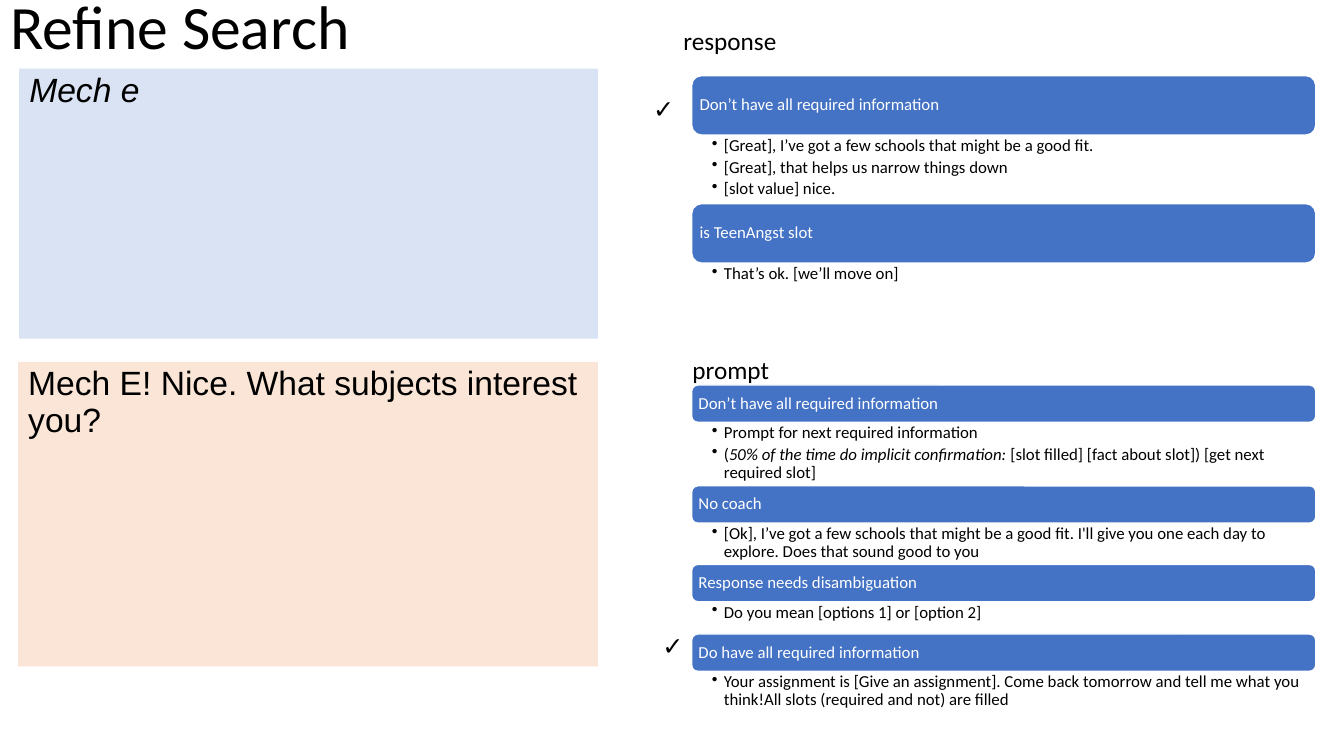
"""Build the Refine Search slide with its example dialogue and rule lists."""
from lxml.etree import SubElement
from pptx import Presentation
from pptx.dml.color import RGBColor
from pptx.enum.shapes import MSO_SHAPE
from pptx.enum.text import MSO_ANCHOR, MSO_AUTO_SIZE, PP_ALIGN
from pptx.oxml.ns import qn
from pptx.util import Emu, Pt

PX = 9144
BLUE = RGBColor(0x44, 0x72, 0xC4)
PALE_BLUE = RGBColor(0xDA, 0xE3, 0xF3)
PALE_ORANGE = RGBColor(0xFB, 0xE5, 0xD6)
WHITE = RGBColor(0xFF, 0xFF, 0xFF)
BLACK = RGBColor(0x00, 0x00, 0x00)

RULES_LEFT, RULES_WIDTH = 686, 619
RESPONSE_RULES = [
    ("Don’t have all required information", 68, [
        "[Great], I’ve got a few schools that might be a good fit.",
        "[Great], that helps us narrow things down",
        "[slot value] nice."]),
    ("is TeenAngst slot", 53, ["That’s ok. [we’ll move on]"]),
]
PROMPT_RULES = [
    ("Don’t have all required information", 63, [
        "Prompt for next required information",
        "(*50% of the time do implicit confirmation: *"
        "[slot filled] [fact about slot]) [get next required slot]"]),
    ("No coach", 41, [
        "[Ok], I’ve got a few schools that might be a good fit. "
        "I'll give you one each day to explore. Does that sound good to you"]),
    ("Response needs disambiguation", 32, ["Do you mean [options 1] or [option 2]"]),
    ("Do have all required information", 41, [
        "Your assignment is [Give an assignment]. Come back tomorrow and tell me "
        "what you think!All slots (required and not) are filled"]),
]


def box(left, top, width, height):
    """Turn a rectangle in px into EMU lengths."""
    return [Emu(length * PX) for length in (left, top, width, height)]


def place(placeholder, *rectangle):
    """Move a placeholder to a rectangle given in px."""
    (placeholder.left, placeholder.top,
     placeholder.width, placeholder.height) = box(*rectangle)


def set_margins(frame, left, top, right, bottom):
    """Set the insets of a text frame in px."""
    frame.margin_left, frame.margin_top = Emu(left * PX), Emu(top * PX)
    frame.margin_right, frame.margin_bottom = Emu(right * PX), Emu(bottom * PX)


def set_bullet(paragraph, bulleted):
    """Give a paragraph a hanging bullet, or clear any inherited one."""
    indent = 12 * PX if bulleted else 0
    properties = paragraph._p.get_or_add_pPr()
    properties.set("marL", str(indent))
    properties.set("indent", str(-indent))
    if bulleted:
        SubElement(properties, qn("a:buChar")).set("char", "•")
    else:
        SubElement(properties, qn("a:buNone"))


def write(frame, *lines, size=12, font="Calibri", color=BLACK, spacing=0.9,
          after=0, bulleted=False, anchor=MSO_ANCHOR.TOP, wrap=True):
    """Write one paragraph per line, with italics between asterisks."""
    frame.auto_size = MSO_AUTO_SIZE.NONE if wrap else MSO_AUTO_SIZE.SHAPE_TO_FIT_TEXT
    frame.word_wrap = wrap
    frame.vertical_anchor = anchor
    for number, line in enumerate(lines):
        paragraph = frame.add_paragraph() if number else frame.paragraphs[0]
        set_bullet(paragraph, bulleted)
        paragraph.level = int(bulleted)
        paragraph.alignment = PP_ALIGN.LEFT
        paragraph.line_spacing = spacing
        paragraph.space_before = Pt(0)
        paragraph.space_after = Pt(after)
        for position, part in enumerate(line.split("*")):
            if part:
                run = paragraph.add_run()
                run.text = part
                run.font.size = Pt(size)
                run.font.name = font
                run.font.color.rgb = color
                run.font.italic = position % 2 == 1


def add_label(slide, text, left, top, width, font="Calibri"):
    """Add a short unwrapped label."""
    label = slide.shapes.add_textbox(*box(left, top, width, 40))
    write(label.text_frame, text, size=18, font=font, spacing=1.0, wrap=False)


def add_rule_header(slide, text, top, height):
    """Add the rounded blue bar that names a condition."""
    header = slide.shapes.add_shape(
        MSO_SHAPE.ROUNDED_RECTANGLE, *box(RULES_LEFT, top, RULES_WIDTH, height))
    header.shadow.inherit = False
    header.fill.solid()
    header.fill.fore_color.rgb = BLUE
    header.line.color.rgb = WHITE
    header.line.width = Pt(1)
    set_margins(header.text_frame, 5, 5, 5, 5)
    write(header.text_frame, text, color=WHITE, anchor=MSO_ANCHOR.MIDDLE)


def add_rules(slide, rules, top, header_height):
    """Stack conditions, each above its list of answers."""
    for condition, answers_height, answers in rules:
        add_rule_header(slide, condition, top, header_height)
        top += header_height
        answer_list = slide.shapes.add_textbox(
            *box(RULES_LEFT, top, RULES_WIDTH, answers_height))
        set_margins(answer_list.text_frame, 20, 2, 9, 2)
        write(answer_list.text_frame, *answers, after=2.4, bulleted=True)
        top += answers_height


def fill_speech(speech, text, color, *rectangle):
    """Place and colour one turn of the example dialogue."""
    place(speech, *rectangle)
    speech.fill.solid()
    speech.fill.fore_color.rgb = color
    write(speech.text_frame, text, size=24, font="Arial")


def main():
    """Build and save the slide."""
    deck = Presentation()
    deck.slide_width, deck.slide_height = Emu(1333 * PX), Emu(750 * PX)
    slide = deck.slides.add_slide(deck.slide_layouts[3])
    title, user_speech, bot_speech = slide.placeholders

    place(title, 0, -43, 1150, 145)
    write(title.text_frame, "Refine Search", size=44, anchor=MSO_ANCHOR.MIDDLE)
    fill_speech(user_speech, "*Mech e*", PALE_BLUE, 19, 68, 574, 268)
    fill_speech(bot_speech, "Mech E! Nice. What subjects interest you?",
                PALE_ORANGE, 18, 359, 575, 302)

    add_rules(slide, RESPONSE_RULES, top=75, header_height=59)
    add_rules(slide, PROMPT_RULES, top=382, header_height=37)
    add_label(slide, "response", 668, 20, 113)
    add_label(slide, "prompt", 677, 347, 97)
    for left, top in ((638, 88), (647, 620)):
        add_label(slide, "✓", left, top, 39, font="Arial")

    deck.save("out.pptx")


if __name__ == "__main__":
    main()
